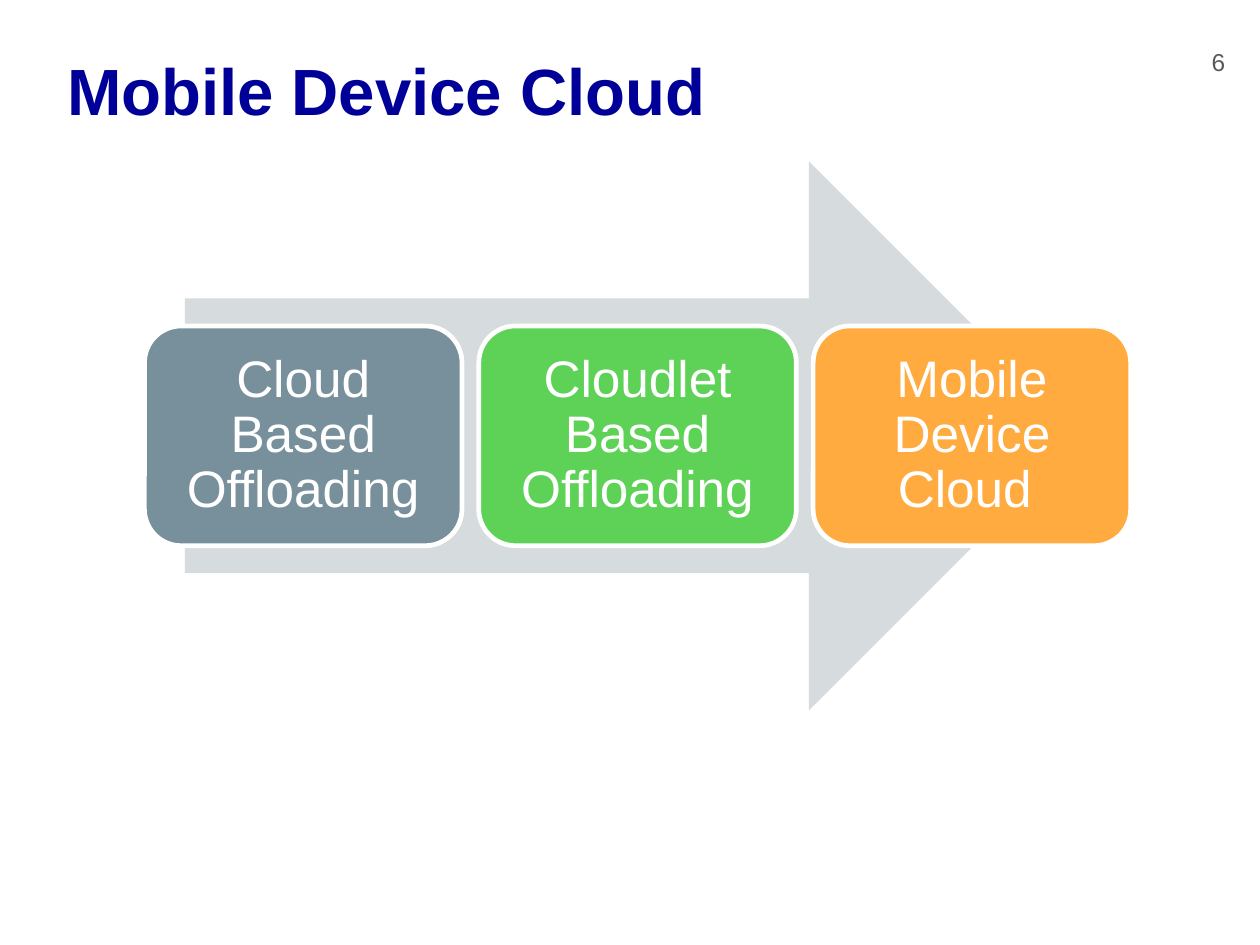
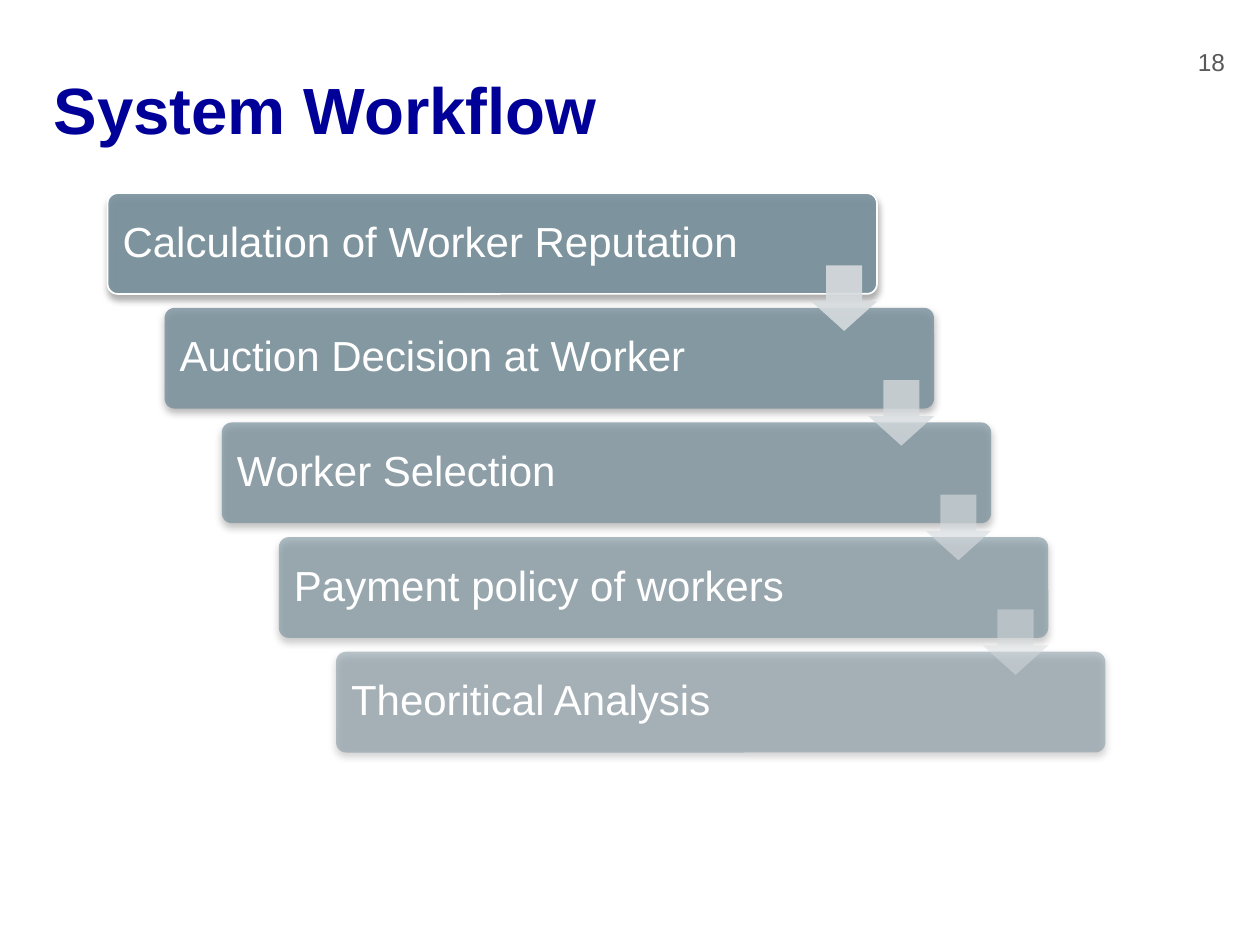
from lxml import etree
from pptx import Presentation
from pptx.dml.color import RGBColor
from pptx.enum.shapes import MSO_SHAPE
from pptx.enum.text import MSO_ANCHOR, PP_ALIGN
from pptx.oxml.ns import qn
from pptx.util import Inches, Pt

ROUND = MSO_SHAPE.ROUNDED_RECTANGLE
RIGHT_ARROW, DOWN_ARROW = MSO_SHAPE.RIGHT_ARROW, MSO_SHAPE.DOWN_ARROW
TOP, MIDDLE = MSO_ANCHOR.TOP, MSO_ANCHOR.MIDDLE
LEFT, CENTER, RIGHT = PP_ALIGN.LEFT, PP_ALIGN.CENTER, PP_ALIGN.RIGHT

FONT = "Arial"
NAVY, GREY, WHITE = "000099", "595959", "FFFFFF"
SLATE, GREEN, ORANGE, PALE = "78909C", "5ED257", "FFAB40", "D6DBDE"


def rgb(color):
    """Turn a hex string into a colour."""
    return RGBColor.from_string(color)


def write(shape, text, size, color, align=LEFT, anchor=MIDDLE, inset=0.07, bold=False, spacing=1.0):
    """Write one paragraph into a shape or text box."""
    tf = shape.text_frame
    tf.word_wrap = True
    tf.vertical_anchor = anchor
    tf.margin_left = tf.margin_right = tf.margin_top = tf.margin_bottom = Inches(inset)
    p = tf.paragraphs[0]
    p.text = text
    p.alignment = align
    p.line_spacing = spacing
    p.font.name, p.font.size, p.font.bold = FONT, Pt(size), bold
    p.font.color.rgb = rgb(color)


def add_text(s, box, text, size, color, **style):
    """Add a text box at box (left, top, width, height)."""
    write(s.shapes.add_textbox(*map(Inches, box)), text, size, color, **style)


def add_box(s, kind, box, fill, line=None, alpha=100, adj=()):
    """Add a filled preset shape, with an optional white line of the given width."""
    sp = s.shapes.add_shape(kind, *map(Inches, box))
    sp.shadow.inherit = False
    for i, value in enumerate(adj):
        sp.adjustments[i] = value
    sp.fill.solid()
    sp.fill.fore_color.rgb = rgb(fill)
    if alpha < 100:
        color = sp._element.spPr.find(qn("a:solidFill"))[0]
        etree.SubElement(color, qn("a:alpha"), val=str(alpha * 1000))
    if line:
        sp.line.color.rgb = rgb(WHITE)
        sp.line.width = Pt(line)
    else:
        sp.line.fill.background()
    return sp


def add_shadow(sp):
    """Give a shape a soft shadow that falls straight down."""
    effects = sp._element.spPr.find(qn("a:effectLst"))
    shadow = etree.SubElement(effects, qn("a:outerShdw"), blurRad=str(Pt(3.1)),
                              dist=str(Pt(1.8)), dir="5400000", rotWithShape="0")
    color = etree.SubElement(shadow, qn("a:srgbClr"), val="000000")
    etree.SubElement(color, qn("a:alpha"), val="35000")


def new_slide(prs, title, title_box, number):
    """Add a slide with its title and page number."""
    s = prs.slides.add_slide(prs.slide_layouts[6])
    add_text(s, title_box, title, 28, NAVY, anchor=TOP, bold=True)
    add_text(s, (6.94, 0.15, 0.45, 0.43), number, 10.5, GREY, align=RIGHT, inset=0.1)
    return s


def arrow_process(s, box, steps):
    """Draw a wide arrow behind a row of coloured steps."""
    x, y, w, h = box
    add_box(s, RIGHT_ARROW, (x + 0.24, y, w - 0.52, h), PALE)
    gap, step_h = 0.1, h * 0.4
    step_w = (w - gap * (len(steps) - 1)) / len(steps)
    for i, (text, fill) in enumerate(steps):
        step_box = (x + i * (step_w + gap), y + (h - step_h) / 2, step_w, step_h)
        sp = add_box(s, ROUND, step_box, fill, line=2)
        write(sp, text, 22, WHITE, align=CENTER, inset=0.09, spacing=0.9)


def staircase(s, box, steps):
    """Draw fading bars stepping down to the right, joined by arrows."""
    x, y, w, h = box
    bar_w, bar_h, arrow, pad = 4.58, 0.6, 0.39, 0.02
    last = len(steps) - 1
    dx, dy = (w - bar_w) / last, (h - bar_h) / last
    for i, text in enumerate(steps):
        left, top = x + i * dx, y + i * dy
        sp = add_box(s, ROUND, (left, top, bar_w, bar_h), SLATE,
                     line=None if i else 0.75, alpha=90 - 10 * i, adj=(0.1,))
        add_shadow(sp)
        add_text(s, (left + pad, top + pad, 3.84, bar_h - 2 * pad), text, 18, WHITE, spacing=0.9)
    for i in range(last):
        arrow_box = (x + bar_w - arrow + i * dx, y + 0.43 + i * dy, arrow, arrow)
        add_box(s, DOWN_ARROW, arrow_box, PALE,
                alpha=round(90 - 40 * i / (last - 1)), adj=(0.55, 0.45))


def main():
    """Build both slides and save them."""
    prs = Presentation()
    prs.slide_width = Inches(7.5)
    prs.slide_height = prs.slide_width * 3 // 4
    s = new_slide(prs, "Mobile Device Cloud", (0.33, 0.23, 4.75, 0.75), "6")
    arrow_process(s, (0.86, 0.96, 5.87, 3.27), [
        ("Cloud Based Offloading", SLATE),
        ("Cloudlet Based Offloading", GREEN),
        ("Mobile Device Cloud ", ORANGE),
    ])
    s = new_slide(prs, "System Workflow", (0.25, 0.34, 5.34, 0.62), "18")
    staircase(s, (0.64, 1.15, 5.94, 3.33), [
        "Calculation of Worker Reputation",
        "Auction Decision at Worker",
        "Worker Selection",
        "Payment policy of workers",
        "Theoritical Analysis",
    ])
    prs.save("out.pptx")


if __name__ == "__main__":
    main()
